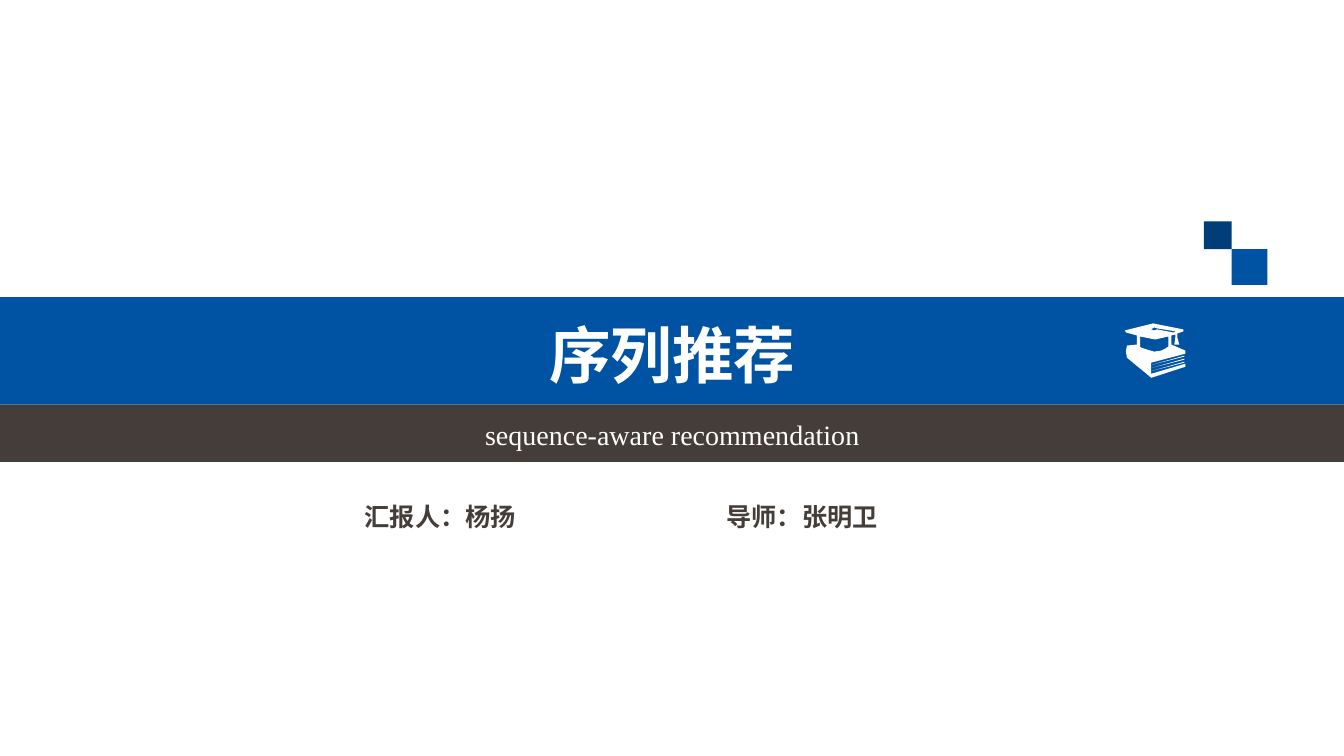
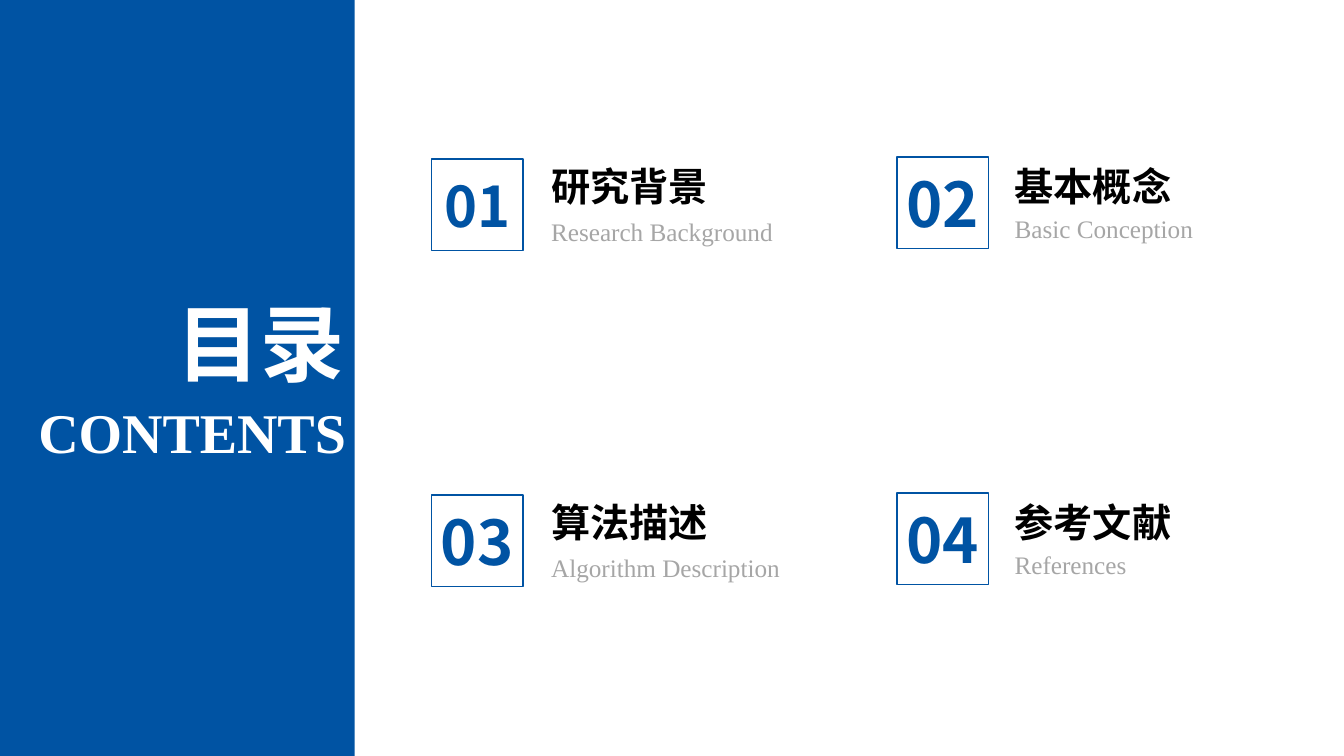
from dataclasses import dataclass
from itertools import product

from lxml.etree import SubElement
from pptx import Presentation
from pptx.dml.color import RGBColor
from pptx.enum.shapes import MSO_SHAPE as Preset
from pptx.enum.text import MSO_ANCHOR as Anchor, MSO_AUTO_SIZE as AutoSize, PP_ALIGN as Align
from pptx.oxml.ns import qn
from pptx.util import Cm, Pt

COVER_TITLE = "序列推荐"
COVER_SUBTITLE = "sequence-aware recommendation"
PEOPLE = [("汇报人：杨扬", 8.94, 8.51), ("导师：张明卫", 18.06, 4.83)]

CONTENTS_TITLE = "目录"
CONTENTS_SUBTITLE = "CONTENTS"
CHAPTERS = [
    ("研究背景", "Research Background"),
    ("基本概念", "Basic Conception"),
    ("算法描述", "Algorithm Description"),
    ("参考文献", "References"),
]

CAP_FRONT = [(15, 13), (15, 23), (16, 24), (22, 26), (29, 28), (36, 27),
             (40, 25), (43, 23), (43, 13), (30, 16)]
CAP_AND_BOOK = [(52, 14), (54, 21), (49, 21), (50, 14), (50, 11), (46, 12), (46, 21),
                (60, 27), (60, 30), (26, 39), (26, 50), (60, 40), (60, 43), (26, 54),
                (25, 53), (2, 34), (1, 28), (2, 22), (12, 21), (12, 12), (1, 9),
                (0, 7), (28, 0), (58, 6), (58, 8), (52, 10)]
CAP_BUTTON = [(48, 9), (51, 8), (32, 5), (29, 4), (26, 6), (29, 7), (32, 6)]
PAGE_EDGES = [[(27, 41 + drop), (59, 33 + drop), (59, 32 + drop)] for drop in (0, 3, 6)]


@dataclass(frozen=True)
class Theme:
    blue: str = "0053A3"
    navy: str = "003E7A"
    brown: str = "453D3A"
    grey: str = "A6A6A6"
    black: str = "000000"
    white: str = "FFFFFF"
    sans: str = "Open Sans"
    cjk: str = "Noto Sans CJK SC"
    serif: str = "Times New Roman"
    huge: int = 60
    title: int = 44
    large: int = 40
    heading: int = 28
    subtitle: int = 20
    body: int = 18


theme = Theme()
WIDTH, HEIGHT = 33.87, 19.05


def apply(target, **values):
    for name, value in values.items():
        setattr(target, name, value)


def write(shape, text, size, color, font=theme.cjk, bold=True, align=Align.LEFT, **frame):
    text_frame = shape.text_frame
    apply(text_frame, **{"word_wrap": True, "vertical_anchor": Anchor.TOP,
                         "auto_size": AutoSize.SHAPE_TO_FIT_TEXT, **frame})
    paragraph = text_frame.paragraphs[0]
    paragraph.alignment = align
    run = paragraph.add_run()
    run.text = text
    apply(run.font, size=Pt(size), bold=bold, name=font)
    run.font.color.rgb = RGBColor.from_string(color)
    SubElement(run.font._element, qn("a:ea")).set("typeface", theme.cjk)


def add_text(slide, box, text, *style, **options):
    shape = slide.shapes.add_textbox(*map(Cm, box))
    write(shape, text, *style, **options)


def set_title(slide, box, text, *style, **options):
    title = slide.shapes.title
    left, top, width, height = map(Cm, box)
    apply(title, left=left, top=top, width=width, height=height)
    write(title, text, *style, **options)
    title.element.getparent().append(title.element)


def paint(shape, color):
    shape.shadow.inherit = False
    shape.fill.solid()
    shape.fill.fore_color.rgb = RGBColor.from_string(color)
    shape.line.fill.background()


def add_block(slide, box, color):
    paint(slide.shapes.add_shape(Preset.RECTANGLE, *map(Cm, box)), color)


def add_graduation_icon(slide, left, top):
    outlines = [CAP_FRONT, CAP_AND_BOOK, CAP_BUTTON, *PAGE_EDGES]
    builder = slide.shapes.build_freeform(*outlines[0][0], scale=Cm(2.54) / 100)
    for outline in outlines:
        builder.move_to(*outline[0])
        builder.add_line_segments(outline[1:], close=True)
    paint(builder.convert_to_shape(Cm(left), Cm(top)), theme.white)


def build_cover(slide):
    band_top, band_height, strip_height = 7.49, 2.7, 1.45
    text_left, text_width = 5.44, 23.01
    strip_top = band_top + band_height
    add_block(slide, (0, strip_top, WIDTH, strip_height), theme.brown)
    add_block(slide, (0, band_top, WIDTH, band_height), theme.blue)
    set_title(slide, (text_left, 7.87, text_width, 2.13), COVER_TITLE,
              theme.title, theme.white, theme.sans, align=Align.CENTER)
    for text, left, width in PEOPLE:
        add_text(slide, (left, 12.5, width, 1.02), text, theme.body, theme.brown, theme.sans)
    corner_left, corner_top, large, small = 31.04, 6.28, 0.9, 0.7
    add_block(slide, (corner_left, corner_top, large, large), theme.blue)
    add_block(slide, (corner_left - small, corner_top - small, small, small), theme.navy)
    add_text(slide, (text_left, 10.39, text_width, 1.12), COVER_SUBTITLE,
             theme.subtitle, theme.white, theme.serif, bold=False, align=Align.CENTER)
    add_graduation_icon(slide, 28.35, 8.15)


def add_number_box(slide, left, top, number):
    side = 2.31
    box = slide.shapes.add_shape(Preset.RECTANGLE, *map(Cm, (left, top, side, side)))
    box.shadow.inherit = False
    box.fill.background()
    box.line.color.rgb = RGBColor.from_string(theme.blue)
    box.line.width = Pt(1)
    size = theme.large if number == 1 else theme.title
    write(box, f"{number:02}", size, theme.blue, align=Align.CENTER,
          vertical_anchor=Anchor.MIDDLE, auto_size=AutoSize.NONE,
          margin_left=0, margin_right=0, margin_top=0, margin_bottom=0)


def build_contents(slide):
    panel_width, label_width = 8.94, 6.65
    add_block(slide, (0, 0, panel_width, HEIGHT), theme.blue)
    set_title(slide, (2.49, 7.21, panel_width - 2.49, 2.82), CONTENTS_TITLE,
              theme.huge, theme.white, align=Align.RIGHT)
    add_text(slide, (0, 9.88, panel_width + 0.03, 1.96), CONTENTS_SUBTITLE,
             theme.large, theme.white, theme.serif, align=Align.RIGHT)
    row_tops = [3.96, 12.42]
    columns = [(10.87, 13.64, 0.05, 1.37), (22.61, 25.32, 0, 1.3)]
    cells = product(row_tops, columns)
    for number, (cell, chapter) in enumerate(zip(cells, CHAPTERS), 1):
        top, (box_left, label_left, box_drop, caption_drop) = cell
        heading, caption = chapter
        add_text(slide, (label_left, top, label_width, 1.45), heading,
                 theme.heading, theme.black)
        add_text(slide, (label_left, top + caption_drop, label_width, 1.02), caption,
                 theme.body, theme.grey, theme.serif, bold=False)
        add_number_box(slide, box_left, top + box_drop, number)


presentation = Presentation()
apply(presentation, slide_width=Cm(WIDTH), slide_height=Cm(HEIGHT))
title_only = presentation.slide_layouts[5]
for build in (build_cover, build_contents):
    build(presentation.slides.add_slide(title_only))
presentation.save("out.pptx")
